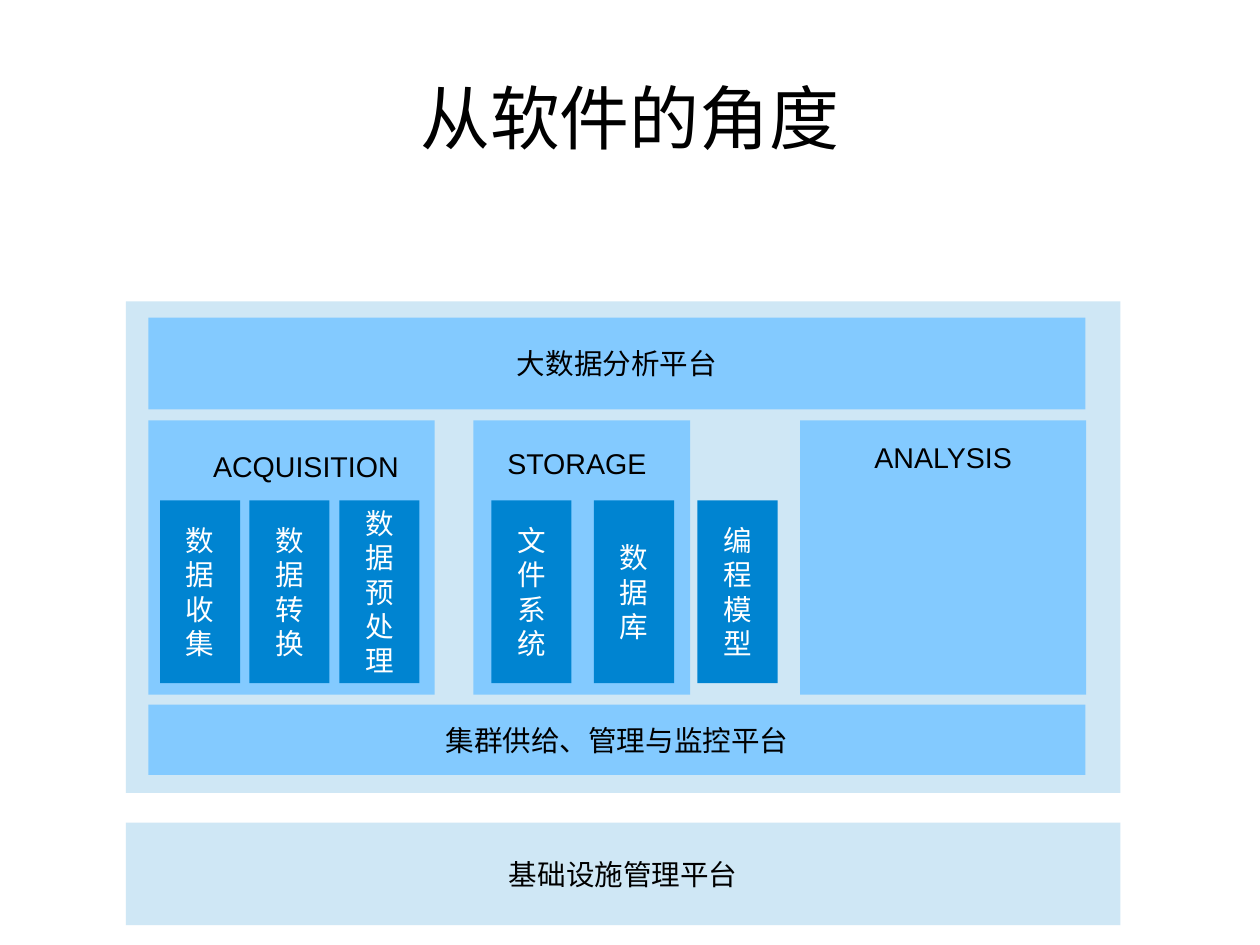
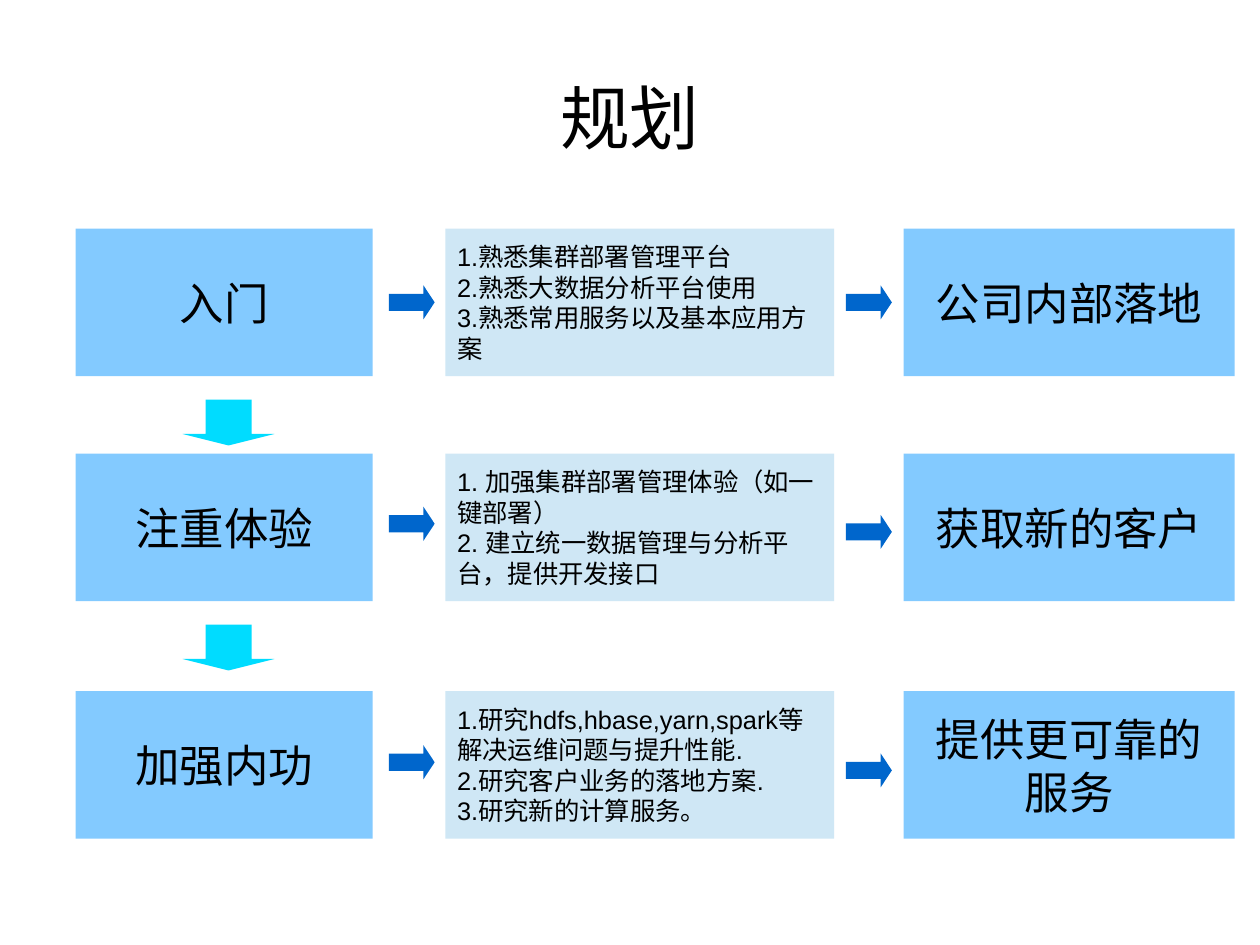
import pptx
import pptx.util
import pptx.dml.color
import pptx.enum.shapes
import pptx.enum.text

PX = 7200
PALE = pptx.dml.color.RGBColor(0xCF, 0xE7, 0xF5)
SKY = pptx.dml.color.RGBColor(0x83, 0xCA, 0xFF)
BLUE = pptx.dml.color.RGBColor(0x00, 0x84, 0xD1)
CYAN = pptx.dml.color.RGBColor(0x00, 0xDC, 0xFF)
NAVY = pptx.dml.color.RGBColor(0x00, 0x66, 0xCC)
BLACK = pptx.dml.color.RGBColor(0, 0, 0)
WHITE = pptx.dml.color.RGBColor(0xFF, 0xFF, 0xFF)

SHAPE = pptx.enum.shapes.MSO_SHAPE
ALIGN = pptx.enum.text.PP_ALIGN
FRAME_FORMAT = {
    "margin_left": 13 * PX,
    "margin_right": 13 * PX,
    "margin_top": 6 * PX,
    "margin_bottom": 6 * PX,
    "vertical_anchor": pptx.enum.text.MSO_ANCHOR.MIDDLE,
    "word_wrap": True,
}


def write(box, lines, size=18, color=BLACK, align=ALIGN.CENTER, **frame_changes):
    frame = box.text_frame
    for name, value in {**FRAME_FORMAT, **frame_changes}.items():
        setattr(frame, name, value)
    for index, line in enumerate(lines):
        para = frame.add_paragraph() if index else frame.paragraphs[0]
        para.alignment = align
        para._p.get_or_add_pPr().set("hangingPunct", "0")
        span = para.add_run()
        span.text = line
        font_format = {"name": "Arial", "size": pptx.util.Pt(size)}
        for name, value in font_format.items():
            setattr(span.font, name, value)
        span.font.color.rgb = color


def add_block(slide, bounds, fill, kind=SHAPE.RECTANGLE):
    box = slide.shapes.add_shape(kind, *[length * PX for length in bounds])
    box.shadow.inherit = False
    box.fill.solid()
    box.fill.fore_color.rgb = fill
    box.line.fill.background()
    return box


deck = pptx.Presentation()
deck.slide_width = 1400 * PX
deck.slide_height = 1050 * PX

slides = []
for title in ["从软件的角度", "规划"]:
    slide = deck.slides.add_slide(deck.slide_layouts[6])
    title_box = slide.shapes.add_textbox(70 * PX, 42 * PX, 1260 * PX, 175 * PX)
    write(title_box, [title], size=44, margin_left=0, margin_right=0,
          margin_top=0, margin_bottom=0)
    slides.append(slide)
software, plan = slides

add_block(software, (140, 335, 1105, 546), PALE)
for left, width in [(165, 318), (526, 241), (889, 318)]:
    add_block(software, (left, 467, width, 305), SKY)

platforms = [
    ((165, 353, 1041, 102), SKY, "大数据分析平台"),
    ((165, 783, 1041, 78), SKY, "集群供给、管理与监控平台"),
    ((140, 914, 1105, 114), PALE, "基础设施管理平台"),
]
for bounds, fill, label in platforms:
    write(add_block(software, bounds, fill), [label])

captions = [
    ("ACQUISITION", 220, 493, 240),
    ("STORAGE", 546, 490, 190),
    ("ANALYSIS", 953, 483, 190),
]
for label, left, top, width in captions:
    caption = software.shapes.add_textbox(left * PX, top * PX, width * PX, 48 * PX)
    write(caption, [label], word_wrap=False,
          vertical_anchor=pptx.enum.text.MSO_ANCHOR.TOP)

tiles_by_left = {
    178: "数据收集",
    277: "数据转换",
    377: "数据预处理",
    546: "文件系统",
    660: "数据库",
    775: "编程模型",
}
for left, label in tiles_by_left.items():
    write(add_block(software, (left, 556, 89, 203), BLUE), label, color=WHITE)

stages = [
    (254, 317, 317, "入门",
     ["1.熟悉集群部署管理平台", "2.熟悉大数据分析平台使用", "3.熟悉常用服务以及基本应用方案"],
     "公司内部落地"),
    (504, 563, 572, "注重体验",
     ["1. 加强集群部署管理体验（如一键部署）", "2. 建立统一数据管理与分析平台，提供开发接口"],
     "获取新的客户"),
    (768, 828, 837, "加强内功",
     ["1.研究hdfs,hbase,yarn,spark等解决运维问题与提升性能.",
      "2.研究客户业务的落地方案.", "3.研究新的计算服务。"],
     "提供更可靠的服务"),
]
for top, task_arrow_top, goal_arrow_top, stage, tasks, goal in stages:
    write(add_block(plan, (84, top, 330, 164), SKY), [stage], size=28)
    write(add_block(plan, (495, top, 432, 164), PALE), tasks, size=16, align=ALIGN.LEFT)
    write(add_block(plan, (1004, top, 368, 164), SKY), [goal], size=28)
    for left, arrow_top in [(432, task_arrow_top), (940, goal_arrow_top)]:
        arrow = add_block(plan, (left, arrow_top, 51, 38), NAVY, SHAPE.RIGHT_ARROW)
        arrow.adjustments[1] = 0.33

for top in [444, 694]:
    arrow = add_block(plan, (203, top, 102, 51), CYAN, SHAPE.DOWN_ARROW)
    arrow.adjustments[1] = 0.25

deck.save("out.pptx")
